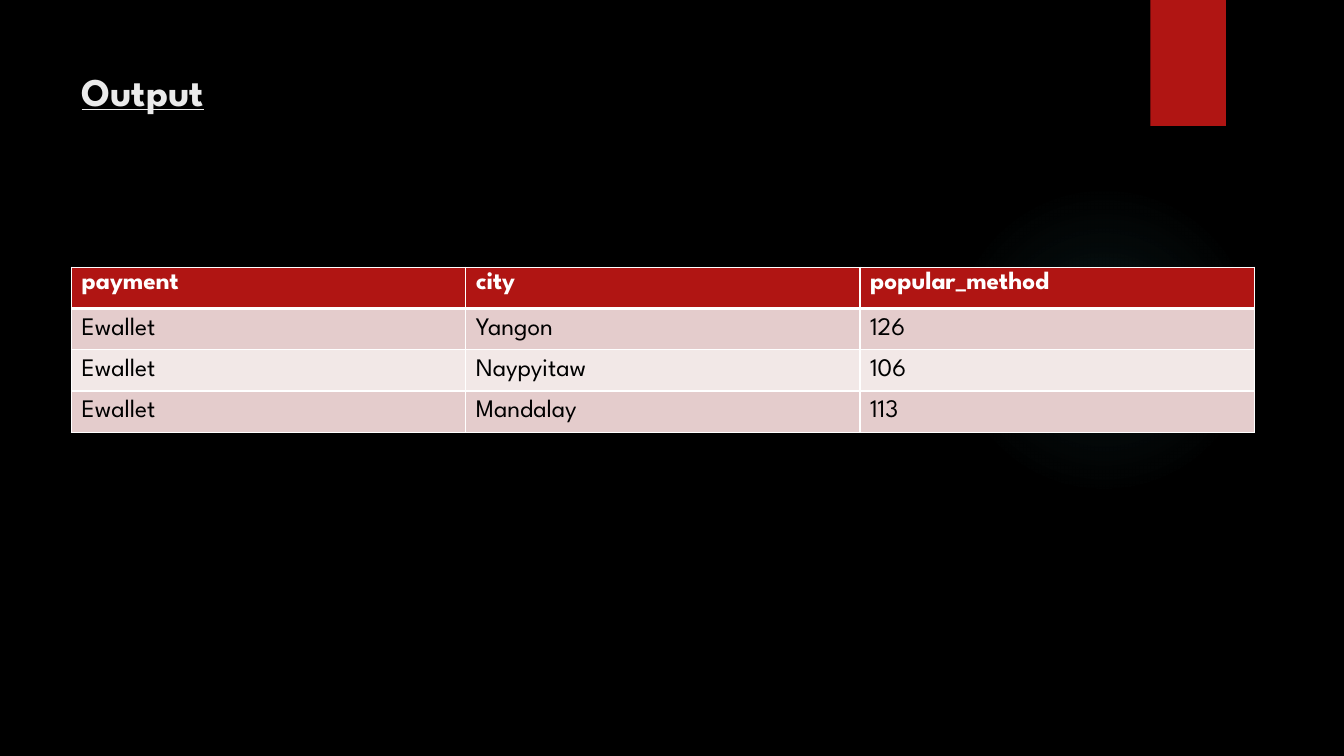
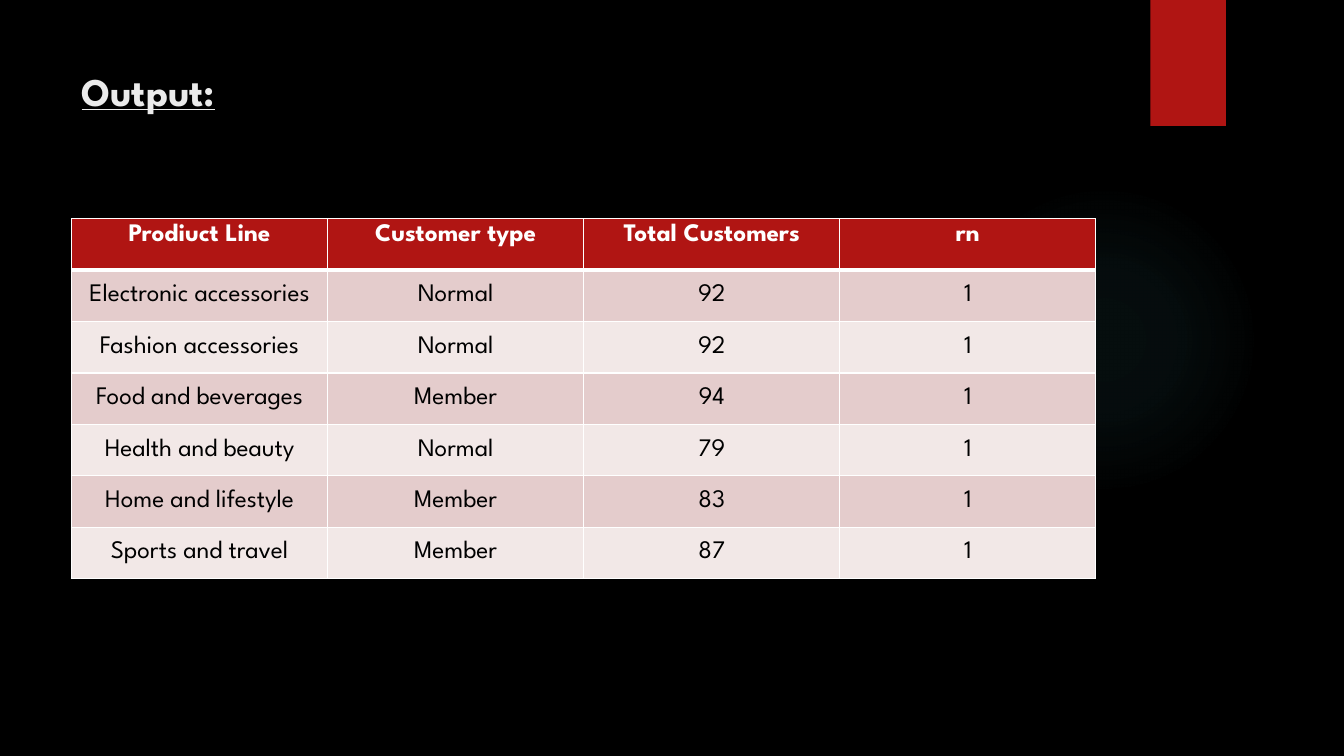
from dataclasses import dataclass

import lxml.etree
import pptx
import pptx.dml.color
import pptx.enum.shapes
import pptx.enum.text
import pptx.oxml
import pptx.oxml.ns
import pptx.presentation
import pptx.shapes.autoshape
import pptx.slide
import pptx.table
import pptx.text.text
import pptx.util

Inches = pptx.util.Inches
Pt = pptx.util.Pt
RGBColor = pptx.dml.color.RGBColor
PP_ALIGN = pptx.enum.text.PP_ALIGN
MSO_ANCHOR = pptx.enum.text.MSO_ANCHOR
MSO_SHAPE = pptx.enum.shapes.MSO_SHAPE
qn = pptx.oxml.ns.qn

BLACK = RGBColor(0x00, 0x00, 0x00)
WHITE = RGBColor(0xFF, 0xFF, 0xFF)
RED = RGBColor(0xB0, 0x15, 0x13)
TEAL = RGBColor(0x50, 0xB9, 0xC1)
TITLE_GRAY = RGBColor(0xEB, 0xEB, 0xEB)
BANDS = (RGBColor(0xE4, 0xCC, 0xCC), RGBColor(0xF2, 0xE8, 0xE7))

FONT = "League Spartan"
LEFT = 0.71
GLOW_STOPS = ((0, 7), (36, 6), (69, 0))


@dataclass(frozen=True)
class OutputSlide:
    title: str
    title_width: float
    title_height: float
    table_top: float
    column_width: float
    row_height: float
    align: PP_ALIGN
    rows: tuple[tuple[str, ...], ...]


OUTPUTS = (
    OutputSlide(
        "Output", 1.66, 0.45, 2.65, 3.91, 0.41, PP_ALIGN.LEFT,
        (
            ("payment", "city", "popular_method"),
            ("Ewallet", "Yangon", "126"),
            ("Ewallet", "Naypyitaw", "106"),
            ("Ewallet", "Mandalay", "113"),
        ),
    ),
    OutputSlide(
        "Output:", 1.67, 0.58, 2.17, 2.54, 0.51, PP_ALIGN.CENTER,
        (
            ("Prodiuct Line", "Customer type", "Total Customers", "rn"),
            ("Electronic accessories", "Normal", "92", "1"),
            ("Fashion accessories", "Normal", "92", "1"),
            ("Food and beverages", "Member", "94", "1"),
            ("Health and beauty", "Normal", "79", "1"),
            ("Home and lifestyle", "Member", "83", "1"),
            ("Sports and travel", "Member", "87", "1"),
        ),
    ),
)


def drawing_xml(markup: str) -> lxml.etree._Element:
    return pptx.oxml.parse_xml(
        markup.replace(">", f" {pptx.oxml.ns.nsdecls('a')}>", 1)
    )


def add_run(
    paragraph: pptx.text.text._Paragraph, text: str, size: int,
    color: RGBColor, bold: bool,
) -> pptx.text.text._Run:
    run = paragraph.add_run()
    run.text = text
    run.font.name = FONT
    run.font.size = Pt(size)
    run.font.bold = bold
    run.font.color.rgb = color
    return run


def add_plain_shape(
    slide: pptx.slide.Slide, preset: MSO_SHAPE,
    left: float, top: float, width: float, height: float,
) -> pptx.shapes.autoshape.Shape:
    shape = slide.shapes.add_shape(
        preset, Inches(left), Inches(top), Inches(width), Inches(height)
    )
    shape.line.fill.background()
    shape.shadow.inherit = False
    return shape


def decorate_layout(slide: pptx.slide.Slide) -> None:
    layout = slide.slide_layout
    layout.background.fill.solid()
    layout.background.fill.fore_color.rgb = BLACK

    glow = add_plain_shape(slide, MSO_SHAPE.OVAL, 9.41, 1.83, 3.08, 3.08)
    glow.fill.background()
    stops = "".join(
        f'<a:gs pos="{position * 1000}"><a:srgbClr val="{TEAL}">'
        f'<a:alpha val="{opacity * 1000}"/></a:srgbClr></a:gs>'
        for position, opacity in GLOW_STOPS
    )
    glow_properties = glow.element.spPr
    glow_properties.replace(
        glow_properties.find(qn("a:noFill")),
        drawing_xml(
            f"<a:gradFill><a:gsLst>{stops}</a:gsLst>"
            '<a:path path="circle"><a:fillToRect l="50000" t="50000" '
            'r="50000" b="50000"/></a:path></a:gradFill>'
        ),
    )

    ribbon = add_plain_shape(slide, MSO_SHAPE.RECTANGLE, 11.41, 0, 0.75, 1.25)
    ribbon.fill.solid()
    ribbon.fill.fore_color.rgb = RED
    ribbon.element.spPr.find(qn("a:effectLst")).append(
        drawing_xml(
            f'<a:outerShdw blurRad="{Pt(3)}" dist="{Pt(2)}" dir="5400000">'
            f'<a:srgbClr val="{BLACK}"><a:alpha val="45000"/></a:srgbClr>'
            "</a:outerShdw>"
        )
    )
    for index, decoration in enumerate((glow, ribbon), start=2):
        layout.shapes.element.insert(index, decoration.element)


def set_borders(cell: pptx.table._Cell, top: int, bottom: int) -> None:
    properties = cell._tc.get_or_add_tcPr()
    widths = {"lnL": 1, "lnR": 1, "lnT": top, "lnB": bottom}
    for index, (side, width) in enumerate(widths.items()):
        border = drawing_xml(
            f'<a:{side} w="{Pt(width)}"><a:solidFill>'
            f'<a:srgbClr val="{WHITE}"/></a:solidFill></a:{side}>'
        )
        properties.insert(index, border)


def format_title(slide: pptx.slide.Slide, output: OutputSlide) -> None:
    title = slide.shapes.title
    title.left, title.top = Inches(LEFT), Inches(0.5)
    title.width = Inches(output.title_width)
    title.height = Inches(output.title_height)
    frame = title.text_frame
    frame.auto_size = pptx.enum.text.MSO_AUTO_SIZE.NONE
    frame.vertical_anchor = MSO_ANCHOR.TOP
    frame.margin_top, frame.margin_bottom = Inches(0.17), Inches(0)
    paragraph = frame.paragraphs[0]
    paragraph.alignment = PP_ALIGN.LEFT
    add_run(paragraph, output.title, 28, TITLE_GRAY, True).font.underline = True


def add_output_table(slide: pptx.slide.Slide, output: OutputSlide) -> None:
    row_count, column_count = len(output.rows), len(output.rows[0])
    table = slide.shapes.add_table(
        row_count, column_count, Inches(LEFT), Inches(output.table_top),
        Inches(output.column_width * column_count),
        Inches(output.row_height * row_count),
    ).table
    for column in table.columns:
        column.width = Inches(output.column_width)
    for row_index, values in enumerate(output.rows):
        table.rows[row_index].height = Inches(output.row_height)
        is_header = row_index == 0
        for column_index, value in enumerate(values):
            cell = table.cell(row_index, column_index)
            cell.fill.solid()
            cell.fill.fore_color.rgb = (
                RED if is_header else BANDS[(row_index - 1) % len(BANDS)]
            )
            cell.vertical_anchor = MSO_ANCHOR.TOP if is_header else MSO_ANCHOR.MIDDLE
            set_borders(cell, 3 if row_index == 1 else 1, 3 if is_header else 1)
            paragraph = cell.text_frame.paragraphs[0]
            paragraph.alignment = output.align
            add_run(paragraph, value, 18, WHITE if is_header else BLACK, is_header)


def main() -> None:
    presentation = pptx.Presentation()
    presentation.slide_width = Inches(13.33)
    presentation.slide_height = Inches(7.5)
    title_only = presentation.slide_layouts[5]
    for index, output in enumerate(OUTPUTS):
        slide = presentation.slides.add_slide(title_only)
        if index == 0:
            decorate_layout(slide)
        format_title(slide, output)
        add_output_table(slide, output)
    presentation.save("out.pptx")


if __name__ == "__main__":
    main()
